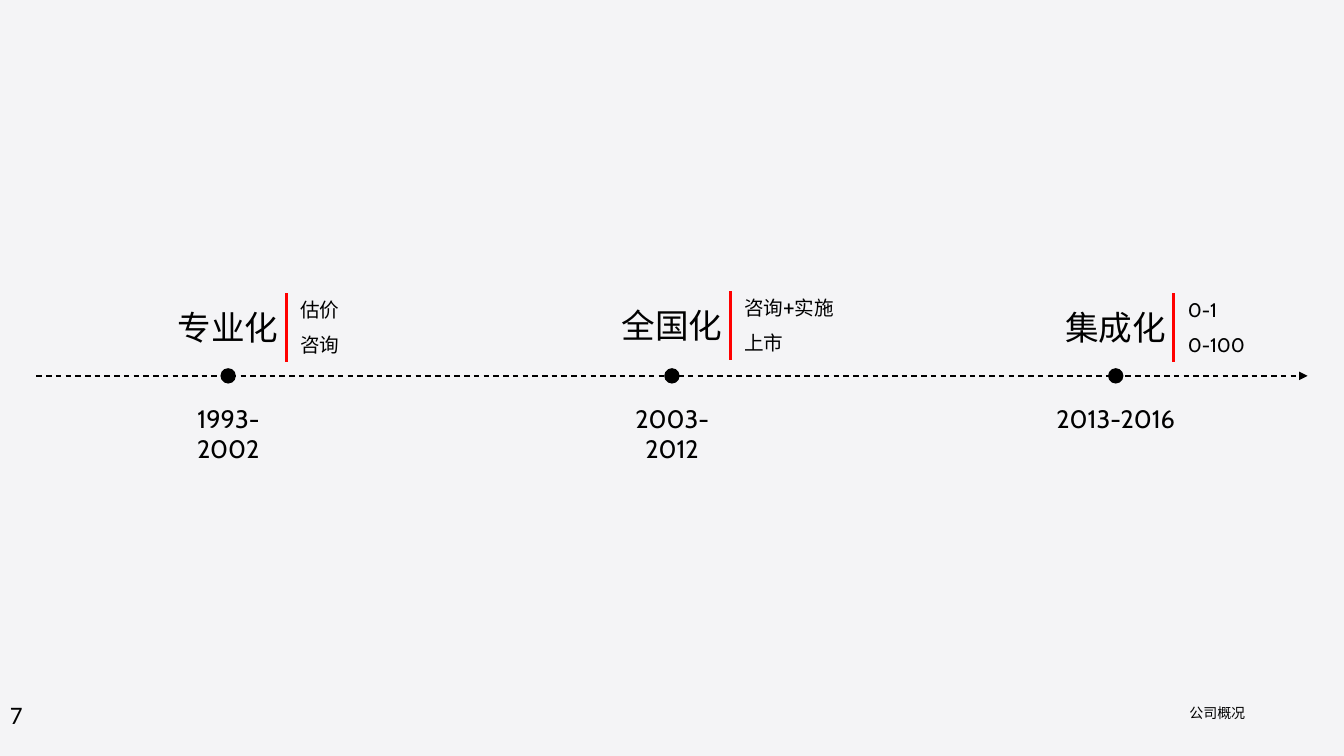
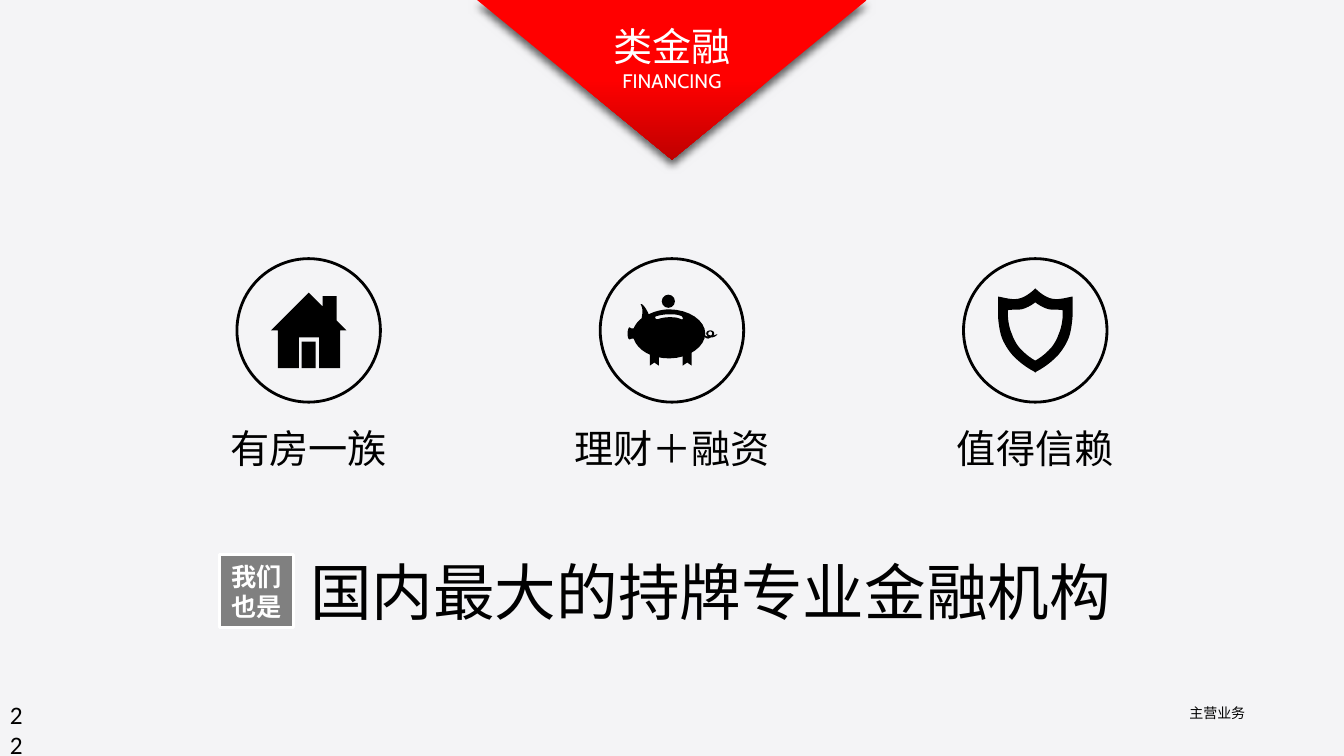
from lxml import etree
from pptx import Presentation
from pptx.dml.color import RGBColor
from pptx.enum import dml, shapes, text
from pptx.oxml import parse_xml
from pptx.oxml.ns import nsdecls, qn
from pptx.util import Pt

WIDTH, HEIGHT = 960, 540
CENTER = WIDTH / 2
BLACK, WHITE, GRAY = "000000", "FFFFFF", "808080"
RED, DARK_RED, PAPER = "FF0000", "C00000", "F4F4F6"
CABIN, CALIBRI, ROBOTO, NOTO = "Cabin", "Calibri", "Roboto", "Noto Sans CJK SC"
TITLE_ONLY, BLANK = 5, 6
OVAL = shapes.MSO_SHAPE.OVAL
RECTANGLE = shapes.MSO_SHAPE.RECTANGLE

# In a contour a pair is a straight step, six numbers are a cubic curve.
# Icon coordinates are measured from the centre of the icon's ring.
HOUSE = [(20, -7), (20, -24.5), (10, -24.5), (10, -17), (0, -27), (-27, 0),
         (-22, 0), (-22, 27), (-7, 27), (-7, 5), (7.5, 5), (7.5, 27),
         (22.5, 27), (22.5, 0), (27, 0)]
PIG_BODY = [
    (-2, -15), (-7, -15, -12, -13.7, -16.6, -11.5),
    (-18, -15, -21, -19.5, -22.3, -18.7), (-20, -14.5, -21.6, -10, -21.6, -8.6),
    (-24.5, -6.5, -26, -4.3, -27.4, -1.4), (-29, -1.4), (-30.2, -2.2),
    (-31, -2.2, -31.7, 0, -31.7, 2.2), (-31.7, 5, -31, 6.5, -30.2, 6.5),
    (-29, 6), (-27.4, 5.8), (-24.5, 14.4, -14.4, 20, -2, 20),
    (12.2, 20, 23.8, 11.5, 23.8, 2.2), (23.8, -7, 12.2, -15, -2, -15)]
PIG_SLOT = [
    (7.9, -8.6), (7.9, -8, 7.2, -7.6, 6.5, -8),
    (3.6, -9.4, 0.7, -9.4, -2, -9.4), (-6.5, -9.4, -10, -8, -10, -8),
    (-11, -8), (-12.2, -8.6, -12.2, -9.4, -11.5, -10),
    (-11.5, -10, -7.2, -11.5, -2, -11.5), (0.7, -11.5, 4.3, -11.5, 7.2, -10)]
PIG_LEG = [(-15.8, 10), (-9.4, 10), (-9.4, 25.2), (-12.6, 23), (-15.8, 25.2)]
PIG_TAIL = [
    (23, 4.3), (22.3, 3), (23, 2.9), (23.8, 3.6),
    (24.5, 4.3, 25, 4.3, 25.9, 4.3), (25.2, 3.7, 24.5, 3, 24.5, 2.2),
    (24.5, 0.7, 25.9, 0, 27.4, 0), (29, 0, 30.2, 1, 30.2, 2.2),
    (30.2, 2.9, 30, 3.2, 29.5, 3.6), (30.2, 3.6, 31, 3.2, 31.7, 2.9),
    (32.4, 2.9), (31.7, 3.6), (30.8, 4.5, 29.5, 5, 28, 5),
    (27, 5.3, 26.5, 5.8, 25.9, 5.8), (24.5, 5.8, 23.8, 5, 23, 4.3)]
PIG_TAIL_LOOP = [
    (27.4, 0.7), (26.5, 0.7, 25.9, 1.5, 25.9, 2.2),
    (25.9, 3, 26.3, 3.4, 28, 3.6), (28.5, 3, 28.8, 2.8, 28.8, 2.2),
    (28.8, 1.4, 28, 0.7, 27.4, 0.7)]
SHIELD_HALF = [
    (0, -30), (0, -30, 6, -23.5, 12.5, -22.5), (18, -21.5, 26, -24.5, 26.6, -24),
    (26.6, -10), (26.6, -9.4, 26, -0.7, 24, 5), (21.6, 11.5, 17.3, 16.5, 16, 18),
    (15, 19, 9.4, 25, 0.7, 29.5), (0, 30.2)]
SHIELD_HOLE_HALF = [
    (0, -20), (0, -20, 5, -16, 10, -15), (14, -14.4, 17.3, -15, 19.5, -14.4),
    (19.5, -9.4), (19.5, -8, 18.7, -1.4, 16.6, 2.9),
    (15, 8, 11.5, 12.2, 11.5, 12.2), (10.8, 13, 6.5, 18, 0, 21.6)]


def color(value):
    return RGBColor.from_string(value)


def points(*lengths):
    return [Pt(length) for length in lengths]


def write(frame, content, size=18, face=ROBOTO, ink=BLACK, bold=False,
          align=text.PP_ALIGN.LEFT, anchor=text.MSO_ANCHOR.TOP, inset=None):
    frame.word_wrap = True
    frame.auto_size = text.MSO_AUTO_SIZE.NONE
    frame.vertical_anchor = anchor
    if inset is not None:
        frame.margin_left = frame.margin_right = Pt(inset)
        frame.margin_top = frame.margin_bottom = Pt(inset)
    paragraph = frame.paragraphs[0]
    paragraph.alignment = align
    run = paragraph.add_run()
    run.text = content
    run.font.size, run.font.name, run.font.bold = Pt(size), face, bold
    run.font.color.rgb = color(ink)
    east_asian = etree.SubElement(run.font._element, qn("a:ea"))
    east_asian.set("typeface", face)


def add_text(slide, box, content, **style):
    shape = slide.shapes.add_textbox(*points(*box))
    write(shape.text_frame, content, **style)


def paint(shape, fill=None, line=None, weight=2):
    shape.shadow.inherit = False
    if fill:
        shape.fill.solid()
        shape.fill.fore_color.rgb = color(fill)
    else:
        shape.fill.background()
    if line:
        shape.line.color.rgb = color(line)
        shape.line.width = Pt(weight)
    else:
        shape.line.fill.background()


def add_shape(slide, kind, box, **style):
    shape = slide.shapes.add_shape(kind, *points(*box))
    paint(shape, **style)
    return shape


def add_line(slide, start, end, ink, weight, dashed_arrow=False):
    connector = slide.shapes.add_connector(
        shapes.MSO_CONNECTOR.STRAIGHT, *points(*start, *end))
    connector.line.color.rgb = color(ink)
    connector.line.width = Pt(weight)
    properties = connector.element.spPr
    if dashed_arrow:
        connector.line.dash_style = dml.MSO_LINE.DASH
        tail = etree.SubElement(properties.find(qn("a:ln")), qn("a:tailEnd"))
        tail.set("type", "triangle")
    etree.SubElement(properties, qn("a:effectLst"))


def flatten(contour, steps=8):
    """Turn the curves of a contour into short straight steps."""
    outline = [contour[0]]
    for step in contour[1:]:
        if len(step) == 2:
            outline.append(step)
            continue
        controls = [outline[-1], step[:2], step[2:4], step[4:]]
        for index in range(1, steps + 1):
            t = index / steps
            weights = ((1 - t) ** 3, 3 * t * (1 - t) ** 2, 3 * t * t * (1 - t), t ** 3)
            outline.append(tuple(
                sum(weight * control[axis] for weight, control in zip(weights, controls))
                for axis in (0, 1)))
    return outline


def mirror(half):
    """Complete a right half with its reflection."""
    right = flatten(half)
    return right + [(-x, y) for x, y in reversed(right)]


def add_outline(slide, x, y, *contours):
    """Draw a black outline around (x, y); later contours are holes."""
    builder = None
    for contour in contours:
        first, *rest = [points(x + dx, y + dy) for dx, dy in flatten(contour)]
        if builder is None:
            builder = slide.shapes.build_freeform(*first, scale=1.0)
        else:
            builder.move_to(*first)
        builder.add_line_segments(rest, close=True)
    paint(builder.convert_to_shape(), fill=BLACK)


def add_footer(slide, number, section):
    add_text(slide, (0, 496, 28, 29), number, face=CALIBRI)
    add_text(slide, (829.5, 499.5, 80, 20), section, size=10, face=NOTO, inset=3.6,
             align=text.PP_ALIGN.CENTER, anchor=text.MSO_ANCHOR.MIDDLE)


def add_milestone(slide, x, axis, stage, years, notes, face=ROBOTO, lift=0):
    """Place one stage around the point (x, axis) of the time line."""
    dot, bar_x, bar_top, bar_height = 11, x + 41.5, axis - 59 - lift, 49
    center = text.PP_ALIGN.CENTER
    add_shape(slide, OVAL, (x - dot / 2, axis - dot / 2, dot, dot), fill=BLACK)
    add_text(slide, (x - 44.25, bar_top + 6.5, 88.5, 36), stage, size=24, align=center)
    add_line(slide, (bar_x, bar_top), (bar_x, bar_top + bar_height), RED, 2.25)
    for index, note in enumerate(notes):
        add_text(slide, (bar_x + 3, bar_top + 25 * index, 91, 24.5), note,
                 size=14, face=face)
    add_text(slide, (x - 49.68, axis + 16, 99.36, 29), years, face=CABIN, align=center)


def build_history(presentation):
    slide = presentation.slides.add_slide(presentation.slide_layouts[BLANK])
    axis, step = 268.5, 317
    add_line(slide, (26, axis), (934, axis), BLACK, 1, dashed_arrow=True)
    add_milestone(slide, CENTER - step, axis, "专业化", "1993-2002", ["估价", "咨询"])
    add_milestone(slide, CENTER, axis, "全国化", "2003-2012", ["咨询+实施", "上市"],
                  lift=1.5)
    add_milestone(slide, CENTER + step, axis, "集成化", "2013-2016", ["0-1", "0-100"],
                  face=CABIN)
    add_footer(slide, "7", "公司概况")


def add_banner(slide, heading, subtitle):
    """Hang a red triangle from the top edge, with the slide title on it."""
    width, height = 278.5, 114
    banner = add_shape(slide, shapes.MSO_SHAPE.FLOWCHART_MERGE,
                       (CENTER - width / 2, 0, width, height))
    properties = banner.element.spPr
    stops = "".join(
        f'<a:gs pos="{position * 1000}"><a:srgbClr val="{value}"/></a:gs>'
        for position, value in ((0, RED), (50, RED), (100, DARK_RED)))
    properties.replace(properties.find(qn("a:noFill")), parse_xml(
        f'<a:gradFill {nsdecls("a")} rotWithShape="1"><a:gsLst>{stops}</a:gsLst>'
        '<a:lin ang="5400000" scaled="0"/></a:gradFill>'))
    properties.find(qn("a:effectLst")).append(parse_xml(
        f'<a:outerShdw {nsdecls("a")} blurRad="{Pt(6)}" dist="{Pt(4)}" dir="5400000" '
        f'algn="t" rotWithShape="0"><a:srgbClr val="{BLACK}"><a:alpha val="60000"/>'
        '</a:srgbClr></a:outerShdw>'))
    center = text.PP_ALIGN.CENTER
    add_text(slide, (CENTER - 71, 46, 142, 24.5), subtitle, size=14, face=CABIN,
             ink=WHITE, align=center)
    title = slide.shapes.title
    title.left, title.top, title.width, title.height = points(CENTER - 65, 12, 130, 41)
    write(title.text_frame, heading, size=28, face=NOTO, ink=WHITE, align=center)
    slide.shapes.element.append(title.element)  # bring in front of the banner


def draw_house(slide, x, y):
    add_outline(slide, x, y, HOUSE)
    add_shape(slide, RECTANGLE, (x - 5, y + 8, 10, 19), fill=BLACK)


def draw_piggy_bank(slide, x, y):
    add_outline(slide, x, y, PIG_BODY, PIG_SLOT)
    add_shape(slide, OVAL, (x - 7.3, y - 25.5, 9.4, 9.4), fill=BLACK)
    for offset in (0, 23.5):
        add_outline(slide, x + offset, y, PIG_LEG)
    add_outline(slide, x, y, PIG_TAIL, PIG_TAIL_LOOP)


def draw_shield(slide, x, y):
    add_outline(slide, x, y, mirror(SHIELD_HALF), mirror(SHIELD_HOLE_HALF))


def add_feature(slide, x, y, draw_icon, label):
    ring = 102.5
    draw_icon(slide, x, y)
    add_shape(slide, OVAL, (x - ring / 2, y - ring / 2, ring, ring), line=BLACK)
    add_text(slide, (x - 78, y + 63.5, 156, 41), label, size=28,
             align=text.PP_ALIGN.CENTER)


def add_claim(slide, left, top, tag, claim):
    badge = add_shape(slide, RECTANGLE, (left, top, 52.5, 52.5), fill=GRAY, line=WHITE)
    write(badge.text_frame, tag, ink=WHITE, bold=True, align=text.PP_ALIGN.CENTER,
          anchor=text.MSO_ANCHOR.MIDDLE)
    add_text(slide, (left + 57.5, top - 4, 590, 60.5), claim, size=44)


def build_financing(presentation):
    slide = presentation.slides.add_slide(presentation.slide_layouts[TITLE_ONLY])
    add_banner(slide, "类金融", "FINANCING")
    features = ((draw_house, "有房一族"), (draw_piggy_bank, "理财＋融资"),
                (draw_shield, "值得信赖"))
    for index, (draw_icon, label) in enumerate(features):
        add_feature(slide, CENTER + 259.5 * (index - 1), 236, draw_icon, label)
    add_claim(slide, 157, 396, "我们也是", "国内最大的持牌专业金融机构")
    add_footer(slide, "22", "主营业务")


def main():
    presentation = Presentation()
    presentation.slide_width, presentation.slide_height = points(WIDTH, HEIGHT)
    background = presentation.slide_master.background.fill
    background.solid()
    background.fore_color.rgb = color(PAPER)
    build_history(presentation)
    build_financing(presentation)
    presentation.save("out.pptx")


if __name__ == "__main__":
    main()
